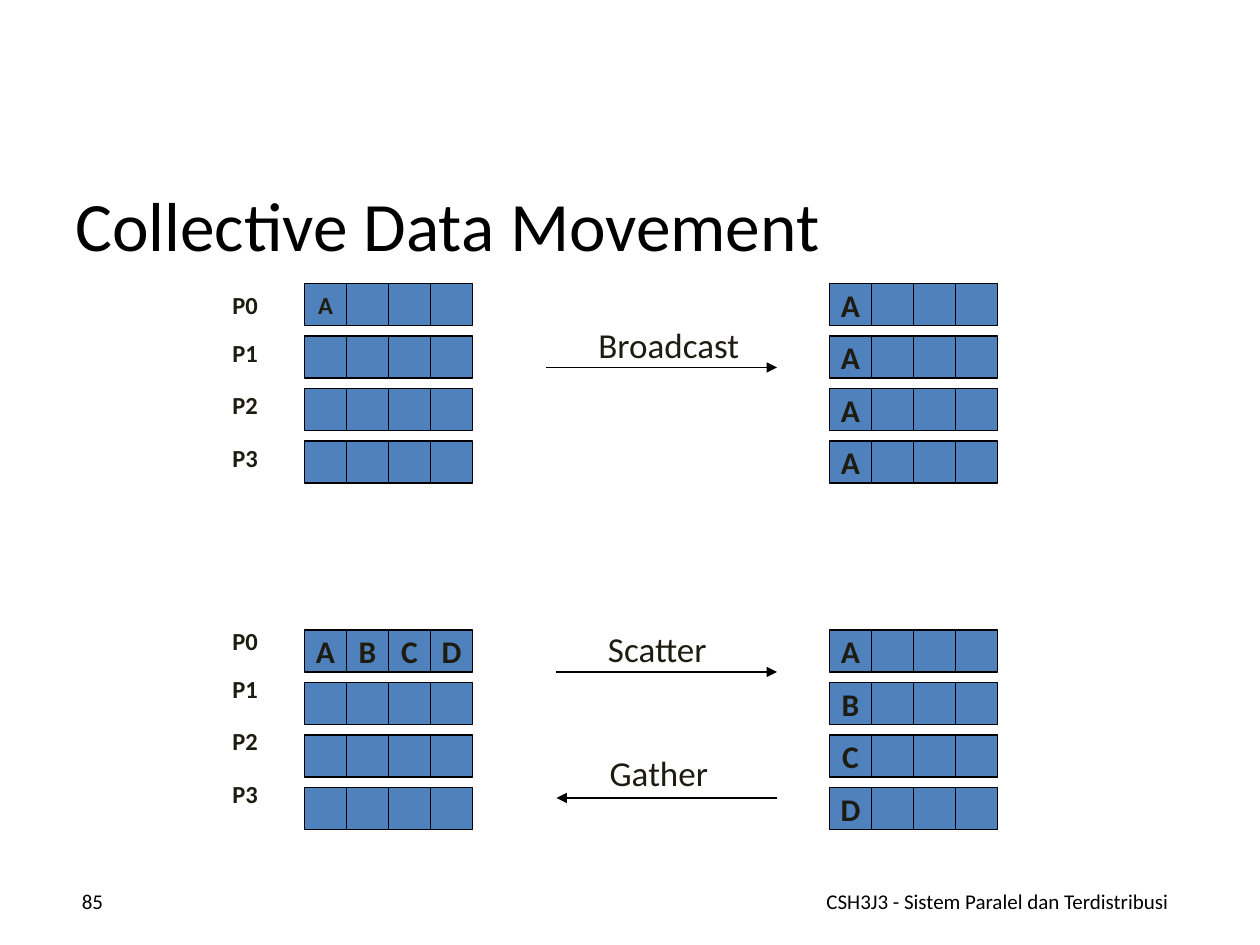
from dataclasses import dataclass

from lxml import etree
from pptx import Presentation
from pptx import util as u
from pptx.dml.color import RGBColor
from pptx.enum import shapes, text
from pptx.oxml import ns

HUES = {"ink": "000000", "dark": "1E1C11", "cell": "4F81BD"}
FONT = "Calibri"
COLS, ROWS = 120, 90
WIDE, HIGH = u.Inches(10), u.Inches(7.5)
SIDE, STEP, COUNT = 4, 5, 4
LEFT, RIGHT = 29, 79
MID = text.PP_ALIGN.CENTER


@dataclass
class Grid:
    col: float
    row: float
    rows: tuple[str, ...]
    size: float = 18


@dataclass
class Arrow:
    name: str
    start: float
    stop: float
    row: float
    box: tuple[float, float, float, float]
    end: str = "tailEnd"


@dataclass
class Label:
    words: str
    box: tuple[float, float, float, float]
    size: float
    hue: str = "dark"
    bold: bool = False
    align: text.PP_ALIGN = MID
    anchor: text.MSO_ANCHOR = text.MSO_ANCHOR.TOP
    wrap: bool = False
    lead: float = 1.0


GRIDS = [
    Grid(LEFT, 27, ("A", "", "", ""), 14),
    Grid(RIGHT, 27, ("A", "A", "A", "A")),
    Grid(LEFT, 60, ("ABCD", "", "", "")),
    Grid(RIGHT, 60, ("A", "B", "C", "D")),
]
ARROWS = [
    Arrow("Broadcast", 52, 74, 35, (55.7, 30.2, 16, 5.3)),
    Arrow("Scatter", 53, 74, 64, (56.6, 59.2, 12, 5.3)),
    Arrow("Gather", 53, 74, 76, (56.8, 71, 11.9, 5.3), "headEnd"),
]
TITLE = Label("Collective Data Movement", (6, 18, 108, 7.6), 39.6, "ink",
              align=text.PP_ALIGN.LEFT, anchor=text.MSO_ANCHOR.MIDDLE,
              wrap=True, lead=0.9)
FOOTS = [
    Label("CSH3J3 - Sistem Paralel dan Terdistribusi", (76, 83.4, 38, 4.8),
          12, "ink", anchor=text.MSO_ANCHOR.MIDDLE, wrap=True),
    Label("85", (4, 83.4, 7, 4.8), 12, "ink", align=text.PP_ALIGN.RIGHT,
          anchor=text.MSO_ANCHOR.MIDDLE, wrap=True),
]
RANKS = [27, 59]


def across(col: float) -> int:
    return round(WIDE * col / COLS)


def down(row: float) -> int:
    return round(HIGH * row / ROWS)


def place(box: tuple[float, float, float, float]) -> tuple[int, int, int, int]:
    col, row, wide, high = box
    return across(col), down(row), across(wide), down(high)


def tint(name: str) -> RGBColor:
    return RGBColor.from_string(HUES[name])


def write(shape, label: Label) -> None:
    frame = shape.text_frame
    frame.text = label.words
    frame.word_wrap = label.wrap
    frame.vertical_anchor = label.anchor
    para = frame.paragraphs[0]
    para.alignment = label.align
    para.line_spacing = label.lead
    for run in para.runs:
        run.font.name = FONT
        run.font.size = u.Pt(label.size)
        run.font.bold = label.bold
        run.font.color.rgb = tint(label.hue)


def draw_label(slide, label: Label) -> None:
    write(slide.shapes.add_textbox(*place(label.box)), label)


def draw_grid(slide, grid: Grid) -> None:
    for i, row in enumerate(grid.rows):
        for j, mark in enumerate(row.ljust(COUNT)):
            box = (grid.col + j * SIDE, grid.row + i * STEP, SIDE, SIDE)
            cell = slide.shapes.add_shape(
                shapes.MSO_SHAPE.RECTANGLE, *place(box))
            cell.shadow.inherit = False
            cell.fill.solid()
            cell.fill.fore_color.rgb = tint("cell")
            cell.line.color.rgb = tint("ink")
            cell.line.width = u.Pt(1)
            if mark.strip():
                write(cell, Label(mark, box, grid.size, bold=True,
                                  anchor=text.MSO_ANCHOR.MIDDLE))


def draw_arrow(slide, arrow: Arrow) -> None:
    line = slide.shapes.add_connector(
        shapes.MSO_CONNECTOR.STRAIGHT, across(arrow.start), down(arrow.row),
        across(arrow.stop), down(arrow.row))
    line.line.color.rgb = tint("ink")
    line.line.width = u.Pt(1)
    stroke = line.line._get_or_add_ln()
    etree.SubElement(stroke, ns.qn("a:" + arrow.end), type="triangle")
    etree.SubElement(line._element.spPr, ns.qn("a:effectLst"))
    draw_label(slide, Label(arrow.name, arrow.box, 20))


def draw_ranks(slide, top: float) -> None:
    for i in range(COUNT):
        row = top + i * STEP - (0.4 if i else 0)
        draw_label(slide, Label(f"P{i}", (20.9, row, 4.9, 4.1), 14, bold=True))


def main() -> None:
    deck = Presentation()
    deck.slide_width, deck.slide_height = WIDE, HIGH
    slide = deck.slides.add_slide(deck.slide_layouts[6])
    for label in [TITLE, *FOOTS]:
        draw_label(slide, label)
    for grid in GRIDS:
        draw_grid(slide, grid)
    for arrow in ARROWS:
        draw_arrow(slide, arrow)
    for top in RANKS:
        draw_ranks(slide, top)
    deck.save("out.pptx")


if __name__ == "__main__":
    main()
